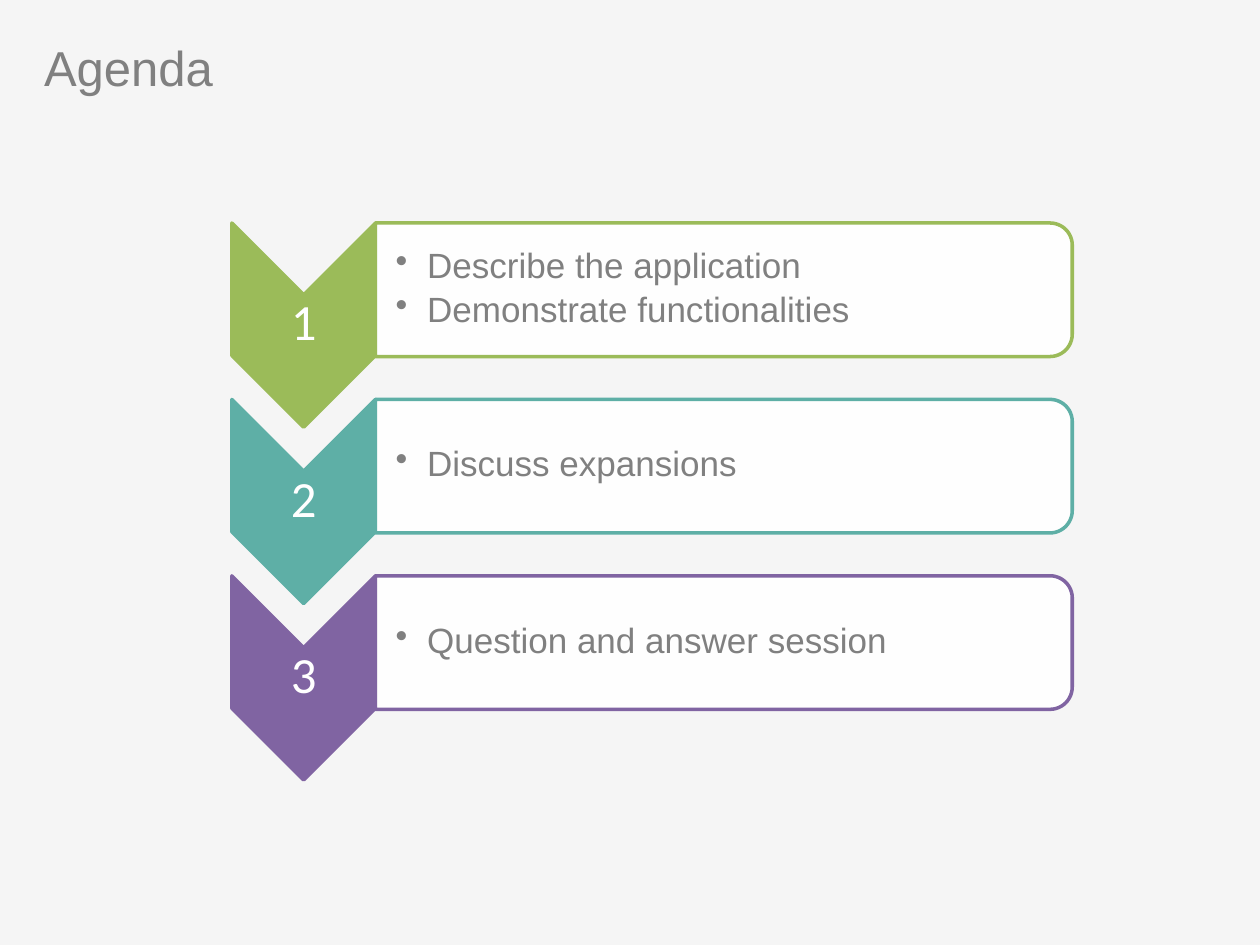
from lxml import etree
from pptx import Presentation
from pptx.dml.color import RGBColor
from pptx.enum.shapes import MSO_SHAPE
from pptx.enum.text import MSO_ANCHOR, MSO_AUTO_SIZE, PP_ALIGN
from pptx.oxml.ns import qn
from pptx.util import Inches, Pt

CHEVRON = MSO_SHAPE.CHEVRON
PANEL = MSO_SHAPE.ROUND_2_SAME_RECTANGLE
TOP, MIDDLE = MSO_ANCHOR.TOP, MSO_ANCHOR.MIDDLE
LEFT, CENTER = PP_ALIGN.LEFT, PP_ALIGN.CENTER
GROW = MSO_AUTO_SIZE.SHAPE_TO_FIT_TEXT
TITLE_ONLY = 5

COLORS = {
    "background": "F5F5F5",
    "text": "808080",
    "white": "FFFFFF",
    "green": "9BBB59",
    "teal": "5EAFA6",
    "purple": "8064A2",
}
AGENDA = [
    ("green", ["Describe the application", "Demonstrate functionalities"]),
    ("teal", ["Discuss expansions"]),
    ("purple", ["Question and answer session"]),
]
FIRST_TOP = 1.77
ROW_STEP = 1.4


def rgb(name):
    return RGBColor.from_string(COLORS[name])


class AgendaSlide:
    def __init__(self, deck):
        self.page = deck.slides.add_slide(deck.slide_layouts[TITLE_ONLY])
        background = self.page.background.fill
        background.solid()
        background.fore_color.rgb = rgb("background")

    def style(self, para, size, color, font="Arial", align=LEFT):
        para.alignment = align
        para.font.name = font
        para.font.size = Pt(size)
        para.font.color.rgb = rgb(color)

    def title(self, text):
        box = self.page.shapes.title
        box.left, box.top = Inches(0.25), Inches(0.25)
        box.width, box.height = Inches(1.56), Inches(0.57)
        frame = box.text_frame
        frame.text = text
        frame.word_wrap = False
        frame.auto_size = GROW
        frame.vertical_anchor = TOP
        self.style(frame.paragraphs[0], 28, "text")

    def turned_shape(self, kind, left, top, width, height, fill, line, opacity=100):
        """Add a shape turned by 90 degrees; the box given is the one seen after turning."""
        shape = self.page.shapes.add_shape(
            kind,
            Inches(left + (width - height) / 2),
            Inches(top + (height - width) / 2),
            Inches(height),
            Inches(width),
        )
        shape.rotation = 90
        shape.shadow.inherit = False
        shape.fill.solid()
        shape.fill.fore_color.rgb = rgb(fill)
        shape.line.color.rgb = rgb(line)
        shape.line.width = Pt(2)
        if opacity < 100:
            color = shape.fill._xPr.find(qn("a:solidFill"))[0]
            etree.SubElement(color, qn("a:alpha"), val=str(opacity * 1000))

    def text_box(self, left, top, width, height, lines, inset, left_inset):
        """Add a vertically centred text box and return its paragraphs."""
        box = self.page.shapes.add_textbox(
            Inches(left), Inches(top), Inches(width), Inches(height)
        )
        frame = box.text_frame
        frame.word_wrap = True
        frame.vertical_anchor = MIDDLE
        frame.margin_top = frame.margin_right = frame.margin_bottom = Inches(inset)
        frame.margin_left = Inches(left_inset)
        frame.text = "\n".join(lines)
        for para in frame.paragraphs:
            para.line_spacing = 0.9
        return frame.paragraphs

    def number(self, top, value):
        for para in self.text_box(1.84, top, 1.14, 0.49, [str(value)], 0.02, 0.02):
            self.style(para, 29, "white", "Calibri", CENTER)

    def bullets(self, top, lines):
        for para in self.text_box(2.98, top, 5.48, 0.95, lines, 0.01, 0.16):
            self.style(para, 20, "text")
            para.space_after = Pt(4)
            properties = para._p.get_or_add_pPr()
            properties.set("marL", str(Inches(0.25)))
            properties.set("indent", str(Inches(-0.25)))
            bullet = etree.Element(qn("a:buChar"), char="•")
            properties.find(qn("a:defRPr")).addprevious(bullet)

    def row(self, top, value, color, lines):
        self.turned_shape(CHEVRON, 1.84, top, 1.14, 1.62, color, color)
        self.number(top + 0.56, value)
        self.turned_shape(PANEL, 2.98, top, 5.53, 1.06, "white", color, opacity=90)
        self.bullets(top + 0.05, lines)


def main():
    deck = Presentation()
    deck.slide_width, deck.slide_height = Inches(10), Inches(7.5)
    slide = AgendaSlide(deck)
    slide.title("Agenda")
    for index, (color, lines) in enumerate(AGENDA):
        slide.row(FIRST_TOP + index * ROW_STEP, index + 1, color, lines)
    deck.save("out.pptx")


if __name__ == "__main__":
    main()
